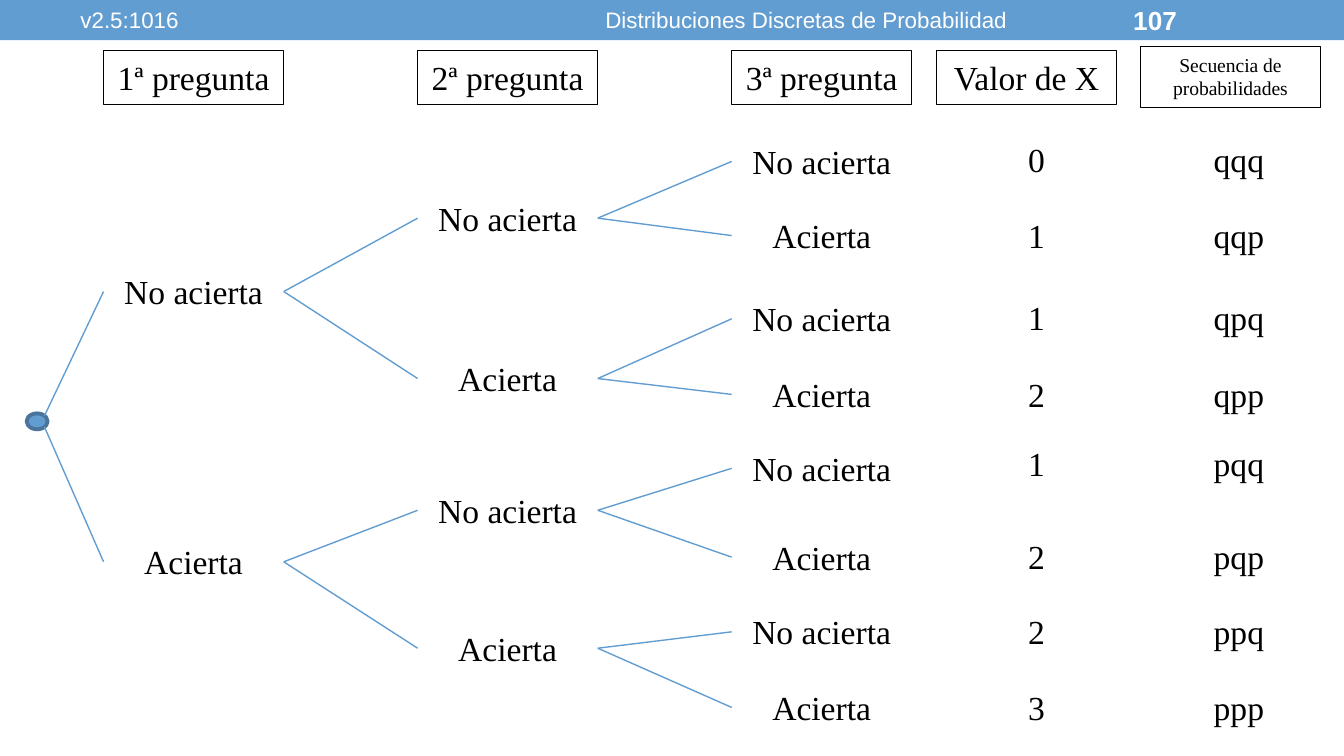
from lxml.etree import SubElement
from pptx import Presentation
from pptx.dml.color import RGBColor
from pptx.enum.shapes import MSO_CONNECTOR, MSO_SHAPE
from pptx.enum.text import MSO_ANCHOR, PP_ALIGN
from pptx.oxml.ns import qn
from pptx.util import Pt

BLUE = RGBColor(0x62, 0x9D, 0xD1)
DARK_BLUE = RGBColor(0x49, 0x74, 0x9B)
WHITE = RGBColor(0xFF, 0xFF, 0xFF)
BLACK = RGBColor(0, 0, 0)

LABEL_WIDTH, LABEL_HEIGHT = 96.5, 29
QUESTION_LEFTS = [55.5, 223.75, 392]
# Centre heights of the answers to each question, top to bottom
ANSWER_CENTRES = [
    [156.2, 301],
    [116.9, 202.8, 273.4, 347.3],
    [86.5, 126.2, 170.8, 211.3, 250.9, 298.5, 338.5, 379],
]
OUTCOME_TOPS = [70.6, 111.6, 155.7, 196.6, 233.9, 283.8, 324, 364.5]


def add_text(slide, text, box, size=18, font="Times New Roman", color=BLACK,
             bold=False, align=PP_ALIGN.CENTER, anchor=MSO_ANCHOR.TOP, border=None):
    label = slide.shapes.add_textbox(*map(Pt, box))
    if border is not None:
        label.line.color.rgb = border
        label.line.width = Pt(0.75)
    frame = label.text_frame
    frame.word_wrap = True
    frame.vertical_anchor = anchor
    paragraph = frame.paragraphs[0]
    paragraph.text = text
    paragraph.alignment = align
    paragraph.font.size = Pt(size)
    paragraph.font.name = font
    paragraph.font.bold = bold
    paragraph.font.color.rgb = color
    return label


def add_branch(slide, start, answer, parent=None):
    branch = slide.shapes.add_connector(
        MSO_CONNECTOR.STRAIGHT, *map(Pt, start), answer.left, answer.top)
    if parent is not None:
        branch.begin_connect(parent, 3)
    branch.end_connect(answer, 1)
    branch.line.color.rgb = BLUE
    branch.line.width = Pt(0.75)
    SubElement(branch._element.spPr, qn("a:effectLst"))


def add_banner(slide, box):
    left, top, width, height = box
    band = slide.shapes.add_shape(MSO_SHAPE.RECTANGLE, *map(Pt, box))
    band.shadow.inherit = False
    band.fill.solid()
    band.fill.fore_color.rgb = BLUE
    band.line.fill.background()
    for text, x, text_width, style in [
        ("v2.5:1016", 36, 228, {"align": PP_ALIGN.LEFT}),
        ("Distribuciones Discretas de Probabilidad", 270, 324, {}),
        ("107", 600, 84, {"align": PP_ALIGN.LEFT, "size": 14, "bold": True}),
    ]:
        add_text(slide, text, (left + x, top + 0.75, text_width, height - 2),
                 **{"size": 12, "font": "Arial", "color": WHITE,
                    "anchor": MSO_ANCHOR.MIDDLE, **style})


def add_headings(slide, top):
    questions = [f"{number}ª pregunta" for number in (1, 2, 3)]
    for text, left in zip(questions + ["Valor de X"], QUESTION_LEFTS + [501.75]):
        add_text(slide, text, (left, top, LABEL_WIDTH, LABEL_HEIGHT), border=BLACK)
    add_text(slide, "Secuencia de probabilidades",
             (611, top - 2.25, LABEL_WIDTH, 32.75), size=10.5, border=BLACK)


def add_tree(slide, root_box):
    left, top, width, height = root_box
    root = slide.shapes.add_shape(MSO_SHAPE.FLOWCHART_CONNECTOR, *map(Pt, root_box))
    root.shadow.inherit = False
    root.fill.solid()
    root.fill.fore_color.rgb = BLUE
    root.line.color.rgb = DARK_BLUE
    root.line.width = Pt(2.08)

    # Each answer opens into a wrong and a right one
    parents = []
    for column, centres in zip(QUESTION_LEFTS, ANSWER_CENTRES):
        answers = []
        for i, centre in enumerate(centres):
            answer = add_text(slide, ("No acierta", "Acierta")[i % 2],
                              (column, centre - LABEL_HEIGHT / 2, LABEL_WIDTH, LABEL_HEIGHT))
            start = (left + width * 0.85, top + height * (0.15, 0.85)[i % 2])
            add_branch(slide, start, answer, parents[i // 2] if parents else None)
            answers.append(answer)
        parents = answers


def add_outcomes(slide, value_left, sequence_left):
    sequences = ["qqq", "qqp", "qpq", "qpp", "pqq", "pqp", "ppq", "ppp"]
    for sequence, top in zip(sequences, OUTCOME_TOPS):
        # X counts the right answers
        for text, left in [(str(sequence.count("p")), value_left), (sequence, sequence_left)]:
            add_text(slide, text, (left, top, LABEL_WIDTH, LABEL_HEIGHT))


def main():
    deck = Presentation()
    deck.slide_width, deck.slide_height = Pt(720), Pt(405)
    slide = deck.slides.add_slide(deck.slide_layouts[6])
    add_banner(slide, (0, 0, 720, 21.5))
    add_headings(slide, 27)
    add_tree(slide, (14.25, 221.5, 11.25, 8.5))
    add_outcomes(slide, 507, 615.5)
    deck.save("out.pptx")


if __name__ == "__main__":
    main()
